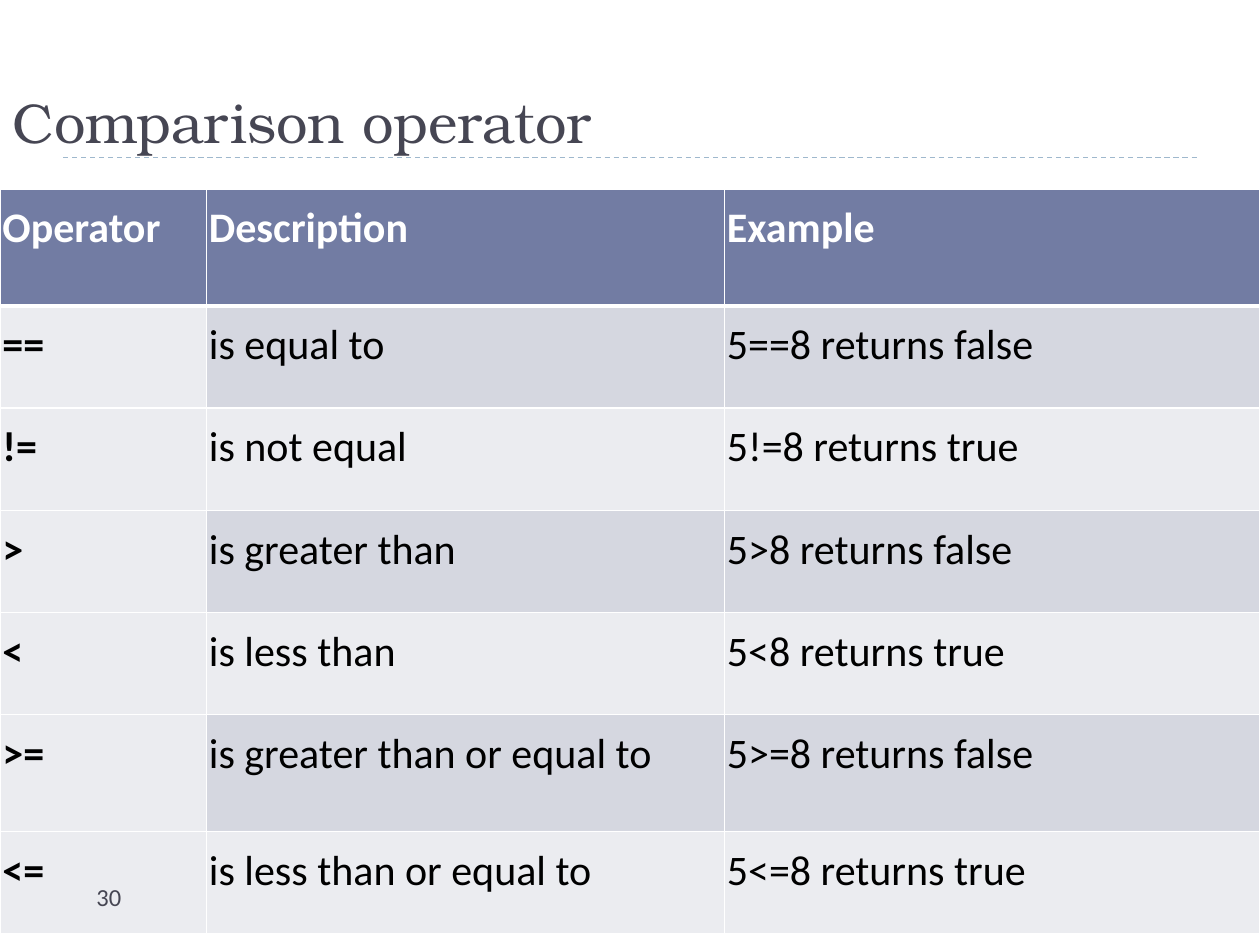
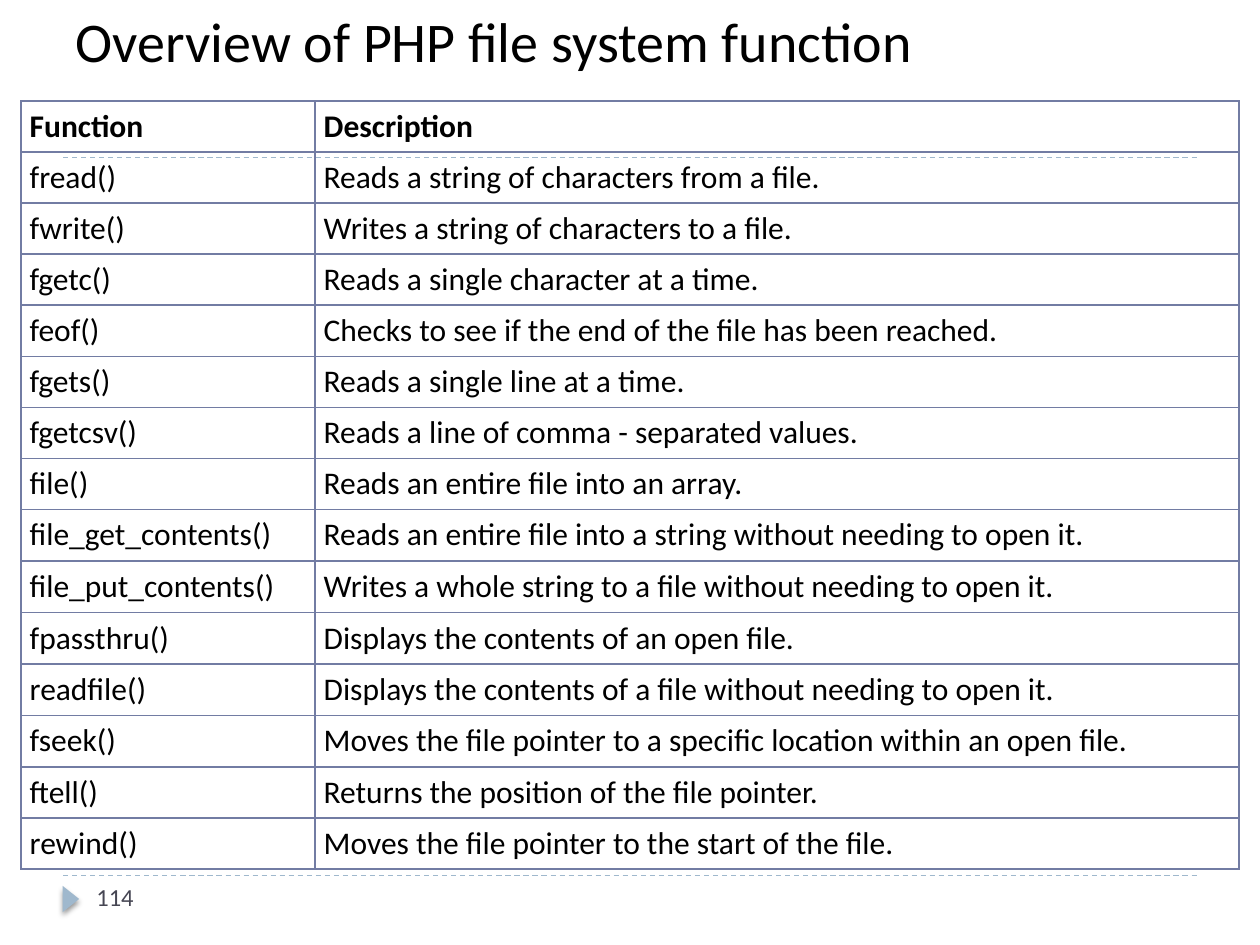
from dataclasses import dataclass

from lxml.etree import SubElement
from pptx import Presentation
from pptx.dml.color import RGBColor
from pptx.enum.dml import MSO_LINE
from pptx.enum.shapes import MSO_CONNECTOR, MSO_SHAPE
from pptx.enum.text import MSO_ANCHOR, MSO_AUTO_SIZE, PP_ALIGN
from pptx.oxml import parse_xml
from pptx.oxml.ns import nsdecls, qn
from pptx.util import Pt


@dataclass(frozen=True)
class Theme:
    ink: str = "000000"
    slate: str = "464653"
    white: str = "FFFFFF"
    indigo: str = "727CA3"
    sky: str = "9FB8CD"
    band_dark: str = "D5D7E0"
    band_light: str = "EBECF0"
    body_font: str = "Calibri"
    title_font: str = "TeX Gyre Bonum"
    title_size: int = 32
    large_size: int = 24
    medium_size: int = 18
    number_size: int = 14
    border: float = 0.96
    heavy_border: float = 3
    rule: float = 0.75


THEME = Theme()

OPERATORS = [
    ("Operator", "Description", "Example"),
    ("==", "is equal to", "5==8 returns false"),
    ("!=", "is not equal", "5!=8 returns true"),
    (">", "is greater than", "5>8 returns false"),
    ("<", "is less than", "5<8 returns true"),
    (">=", "is greater than or equal to", "5>=8 returns false"),
    ("<=", "is less than or equal to", "5<=8 returns true"),
]

FILE_FUNCTIONS = [
    ("Function", "Description"),
    ("fread()", "Reads a string of characters from a file."),
    ("fwrite()", "Writes a string of characters to a file."),
    ("fgetc()", "Reads a single character at a time."),
    ("feof()", "Checks to see if the end of the file has been reached."),
    ("fgets()", "Reads a single line at a time."),
    ("fgetcsv()", "Reads a line of comma - separated values."),
    ("file()", "Reads an entire file into an array."),
    ("file_get_contents()", "Reads an entire file into a string without needing to open it."),
    ("file_put_contents()", "Writes a whole string to a file without needing to open it."),
    ("fpassthru()", "Displays the contents of an open file."),
    ("readfile()", "Displays the contents of a file without needing to open it."),
    ("fseek()", "Moves the file pointer to a specific location within an open file."),
    ("ftell()", "Returns the position of the file pointer."),
    ("rewind()", "Moves the file pointer to the start of the file."),
]


def operator_style(row, column):
    header = row == 0
    if header:
        fill = THEME.indigo
    elif column and row % 2:
        fill = THEME.band_dark
    else:
        fill = THEME.band_light
    return {
        "fill": fill,
        "color": THEME.white if header else THEME.ink,
        "bold": header or column == 0,
        "borders": {
            "L": THEME.border,
            "R": THEME.border,
            "T": THEME.heavy_border if row == 1 else THEME.border,
            "B": THEME.heavy_border if header else THEME.border,
        },
    }


def function_style(row, column):
    return {
        "fill": None,
        "color": THEME.ink,
        "bold": row == 0,
        "borders": dict.fromkeys("LRTB", THEME.border),
    }


SLIDES = [
    {
        "title": "Comparison operator",
        "title_box": (0, 2, 648, 90),
        "title_font": THEME.title_font,
        "title_color": THEME.slate,
        "title_anchor": MSO_ANCHOR.BOTTOM,
        "number": "30",
        "table": {
            "rows": OPERATORS,
            "corner": (0, 108),
            "widths": (118, 296, 306),
            "height": 58.4,
            "tall_height": 66.8,
            "tall_rows": {0, 5},
            "style": operator_style,
            "border_color": THEME.white,
            "size": THEME.large_size,
            "side_margin": 1.4,
            "paragraph": {"alignment": PP_ALIGN.JUSTIFY, "line_spacing": 1.15},
        },
    },
    {
        "title": "Overview of PHP file system function",
        "title_box": (36, 0, 669.6, 45.4),
        "title_font": THEME.body_font,
        "title_color": THEME.ink,
        "title_anchor": MSO_ANCHOR.TOP,
        "number": "114",
        "table": {
            "rows": FILE_FUNCTIONS,
            "corner": (12, 57.6),
            "widths": (168, 528),
            "height": 28.1,
            "tall_height": 29.5,
            "tall_rows": {8, 9, 11, 12},
            "style": function_style,
            "border_color": THEME.indigo,
            "size": THEME.medium_size,
            "side_margin": 5,
            "paragraph": {"alignment": PP_ALIGN.LEFT},
        },
    },
]


def apply_format(target, values):
    for name, value in values.items():
        setattr(target, name, value)


def points(*lengths):
    return [Pt(length) for length in lengths]


def write_text(text_frame, text, font, size, color, bold=False, paragraph_format=None):
    text_frame.text = text
    paragraph = text_frame.paragraphs[0]
    apply_format(paragraph, paragraph_format or {"alignment": PP_ALIGN.LEFT})
    run_font = paragraph.runs[0].font
    apply_format(run_font, {"name": font, "size": Pt(size), "bold": bold})
    run_font.color.rgb = RGBColor.from_string(color)


def add_rule(slide, top):
    rule = slide.shapes.add_connector(MSO_CONNECTOR.STRAIGHT, *points(36, top, 684, top))
    apply_format(rule.line, {"width": Pt(THEME.rule), "dash_style": MSO_LINE.DASH})
    rule.line.color.rgb = RGBColor.from_string(THEME.sky)
    SubElement(rule._element.spPr, qn("a:effectLst"))


def add_page_marker(slide):
    marker = slide.shapes.add_shape(
        MSO_SHAPE.ISOSCELES_TRIANGLE, *points(33, 509, 15, 9.4))
    marker.rotation = 90
    marker.fill.solid()
    marker.fill.fore_color.rgb = RGBColor.from_string(THEME.sky)
    marker.line.fill.background()
    marker.shadow.inherit = False
    marker._element.spPr.find(qn("a:effectLst")).append(parse_xml(
        f'<a:outerShdw {nsdecls("a")} blurRad="{Pt(3)}" dist="{Pt(2)}" dir="5400000">'
        f'<a:srgbClr val="{THEME.ink}"><a:alpha val="40000"/></a:srgbClr></a:outerShdw>'))


def add_page_number(slide, number):
    box = slide.shapes.add_textbox(*points(48, 500.4, 156, 28.8))
    box.text_frame.word_wrap = True
    write_text(box.text_frame, number, THEME.body_font, THEME.number_size, THEME.slate)


def format_title(slide, content):
    title = slide.shapes.title
    box = points(*content["title_box"])
    apply_format(title, dict(zip(("left", "top", "width", "height"), box)))
    apply_format(title.text_frame, {
        "vertical_anchor": content["title_anchor"],
        "auto_size": MSO_AUTO_SIZE.NONE,
        "word_wrap": True,
    })
    write_text(title.text_frame, content["title"], content["title_font"],
               THEME.title_size, content["title_color"])


def set_borders(cell, widths, color):
    properties = cell._tc.get_or_add_tcPr()
    for index, (side, width) in enumerate(widths.items()):
        properties.insert(index, parse_xml(
            f'<a:ln{side} {nsdecls("a")} w="{Pt(width)}"><a:solidFill>'
            f'<a:srgbClr val="{color}"/></a:solidFill></a:ln{side}>'))


def format_cell(cell, text, style, table_content):
    side_margin = Pt(table_content["side_margin"])
    apply_format(cell, {
        "margin_left": side_margin, "margin_right": side_margin,
        "margin_top": Pt(3.6), "margin_bottom": Pt(3.6),
    })
    if style["fill"]:
        cell.fill.solid()
        cell.fill.fore_color.rgb = RGBColor.from_string(style["fill"])
    else:
        cell.fill.background()
    set_borders(cell, style["borders"], table_content["border_color"])
    write_text(cell.text_frame, text, THEME.body_font, table_content["size"],
               style["color"], style["bold"], table_content["paragraph"])


def add_content_table(slide, content):
    rows, widths = content["rows"], content["widths"]
    heights = [content["tall_height"] if index in content["tall_rows"] else content["height"]
               for index in range(len(rows))]
    frame = slide.shapes.add_table(
        len(rows), len(widths), *points(*content["corner"], sum(widths), sum(heights)))
    table = frame.table
    apply_format(table, {"first_row": False, "horz_banding": False})
    for column, width in zip(table.columns, widths):
        column.width = Pt(width)
    for row, height in zip(table.rows, heights):
        row.height = Pt(height)
    for row_index, row in enumerate(rows):
        for column_index, text in enumerate(row):
            format_cell(table.cell(row_index, column_index), text,
                        content["style"](row_index, column_index), content)


def build_slide(presentation, content):
    slide = presentation.slides.add_slide(presentation.slide_layouts[5])
    for top in (500.4, 90):
        add_rule(slide, top)
    add_page_marker(slide)
    format_title(slide, content)
    add_content_table(slide, content["table"])
    add_page_number(slide, content["number"])


def main():
    presentation = Presentation()
    apply_format(presentation, {"slide_width": Pt(720), "slide_height": Pt(540)})
    for content in SLIDES:
        build_slide(presentation, content)
    presentation.save("out.pptx")


if __name__ == "__main__":
    main()
